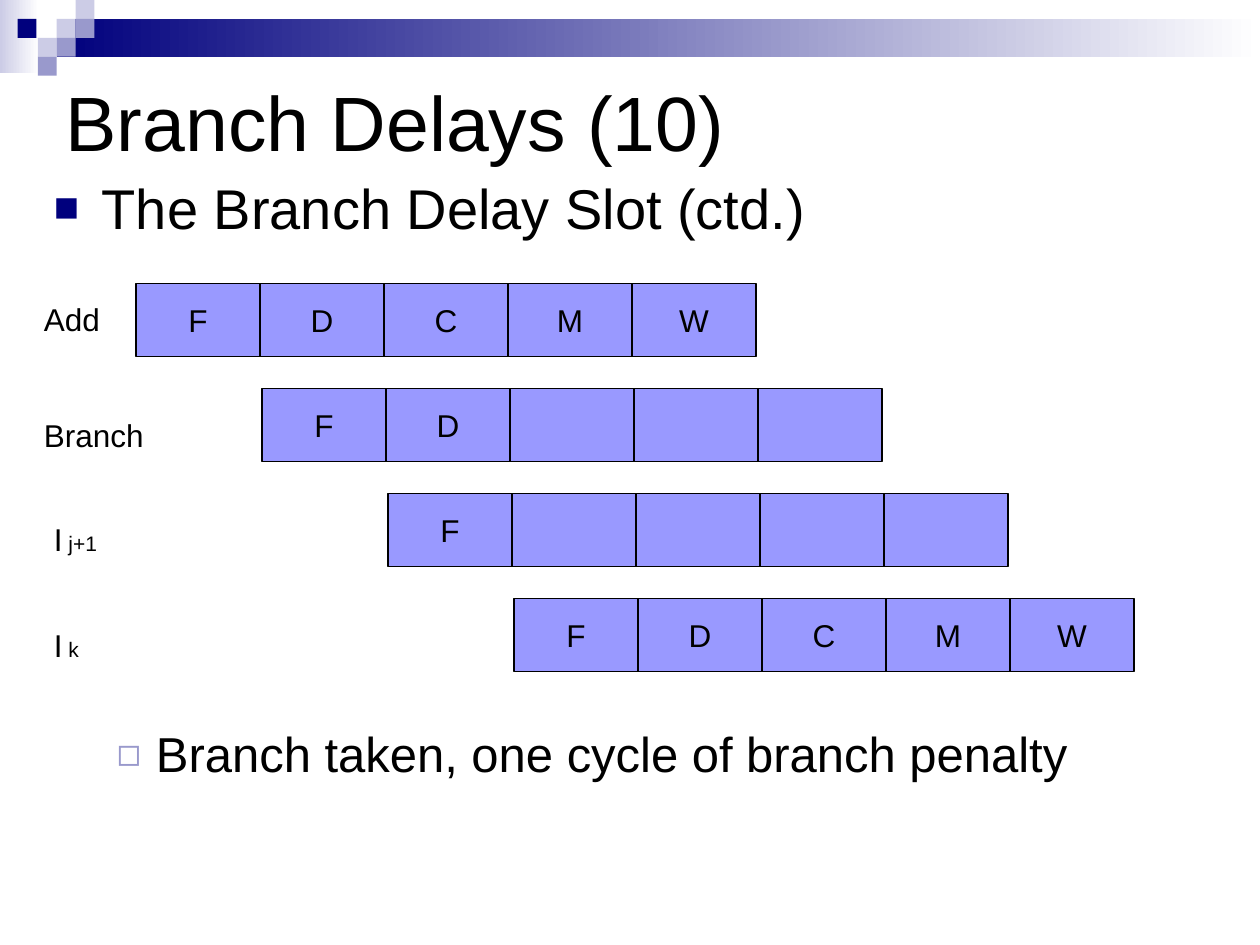
from lxml import etree
from pptx import Presentation
from pptx.dml.color import RGBColor
from pptx.enum import shapes, text
from pptx.oxml.ns import qn
from pptx.util import Inches, Pt

COLORS = {"navy": "00007D", "lilac": "CCCCE6", "violet": "9999CC",
          "stage": "9999FF", "black": "000000", "white": "FFFFFF"}
FONT = "Arial"

TITLE = "Branch Delays (10)"
# text, level, size, left margin, hanging indent, space before, bullet, colour, bullet %
BODY = [
    ("The Branch Delay Slot (ctd.)", 0, 32, 0.38, 0.38, 0, "■", "navy", 75),
    ("Branch taken, one cycle of branch penalty", 1, 28, 0.81, 0.31, 276, "◻", "violet", 80),
]
PIPELINES = ["FDCMW", "FD", "F", "FDCMW"]
# name, subscript, left, top, width
LABELS = [
    ("Add", "", 0.25, 2.33, 0.75),
    ("Branch", "", 0.25, 3.25, 1.17),
    ("I", " j+1", 0.33, 4.08, 0.75),
    ("I", " k", 0.33, 4.92, 0.75),
]
GRADIENT_BARS = [((0, 0, 0.31, 0.58), "lilac"), ((0.45, 0.15, 9.55, 0.3), "navy")]
TILE = 0.15
TILES = [(3, 1, "lilac"), (4, 0, "lilac"), (4, 1, "violet"), (2, 2, "lilac"),
         (0.93, 1, "navy"), (3, 2, "violet"), (2, 3, "violet")]

STAGES = 5
STAGE_WIDTH, STAGE_HEIGHT = 0.984, 0.58
FIRST_LEFT, FIRST_TOP = 1.08, 2.25
ROW_SHIFT, ROW_STEP = 1.0, 0.833


def color(name):
    return RGBColor.from_string(COLORS[name])


def style(run, size):
    run.font.name = FONT
    run.font.size = Pt(size)
    run.font.color.rgb = color("black")


def place(shape, left, top, width, height):
    shape.left, shape.top = Inches(left), Inches(top)
    shape.width, shape.height = Inches(width), Inches(height)


def add_rectangle(parent, left, top, width, height):
    shape = parent.add_shape(shapes.MSO_SHAPE.RECTANGLE, Inches(left), Inches(top),
                             Inches(width), Inches(height))
    shape.shadow.inherit = False
    shape.line.fill.background()
    return shape


def fill_solid(shape, name):
    shape.fill.solid()
    shape.fill.fore_color.rgb = color(name)


def add_text_box(slide, left, top, width, height):
    frame = slide.shapes.add_textbox(Inches(left), Inches(top), Inches(width),
                                     Inches(height)).text_frame
    frame.word_wrap = True
    return frame


def set_bullet(paragraph, left, hanging, character, name, percent):
    properties = paragraph._p.get_or_add_pPr()
    properties.set("marL", str(Inches(left)))
    properties.set("indent", str(-Inches(hanging)))
    bullet_color = etree.SubElement(properties, qn("a:buClr"))
    etree.SubElement(bullet_color, qn("a:srgbClr"), val=COLORS[name])
    etree.SubElement(properties, qn("a:buSzPct"), val=str(percent * 1000))
    etree.SubElement(properties, qn("a:buFont"), typeface=FONT)
    etree.SubElement(properties, qn("a:buChar"), char=character)


def add_decoration(slide):
    for box, start in GRADIENT_BARS:
        bar = add_rectangle(slide.shapes, *box)
        bar.fill.gradient()
        bar.fill.gradient_angle = 0
        for stop, name in zip(bar.fill.gradient_stops, (start, "white")):
            stop.color.rgb = color(name)
    for column, row, name in TILES:
        fill_solid(add_rectangle(slide.shapes, column * TILE, row * TILE, TILE, TILE), name)


def add_title(slide):
    title = slide.shapes.title
    place(title, 0.42, 0.5, 9.33, 0.92)
    title.text_frame.text = TITLE
    title.text_frame.vertical_anchor = text.MSO_ANCHOR.MIDDLE
    paragraph = title.text_frame.paragraphs[0]
    paragraph.alignment = text.PP_ALIGN.LEFT
    style(paragraph.runs[0], 44)


def add_body(slide):
    frame = add_text_box(slide, 0.33, 1.33, 9.33, 5.5)
    for index, (words, level, size, left, hanging, before, *bullet) in enumerate(BODY):
        paragraph = frame.add_paragraph() if index else frame.paragraphs[0]
        paragraph.text = words
        paragraph.level = level
        if before:
            paragraph.space_before = Pt(before)
        set_bullet(paragraph, left, hanging, *bullet)
        style(paragraph.runs[0], size)


def add_pipeline(slide, row, letters):
    group = slide.shapes.add_group_shape()
    for column, letter in enumerate(letters.ljust(STAGES)):
        stage = add_rectangle(group.shapes,
                              FIRST_LEFT + row * ROW_SHIFT + column * STAGE_WIDTH,
                              FIRST_TOP + row * ROW_STEP, STAGE_WIDTH, STAGE_HEIGHT)
        fill_solid(stage, "stage")
        stage.line.color.rgb = color("black")
        stage.line.width = Pt(0.75)
        if letter.strip():
            frame = stage.text_frame
            frame.text = letter
            frame.word_wrap = False
            frame.vertical_anchor = text.MSO_ANCHOR.MIDDLE
            frame.paragraphs[0].alignment = text.PP_ALIGN.CENTER
            style(frame.paragraphs[0].runs[0], 18)


def add_label(slide, name, subscript, left, top, width):
    paragraph = add_text_box(slide, left, top, width, 0.4).paragraphs[0]
    for words, size in ((name, 18), (subscript, 12)):
        if words:
            run = paragraph.add_run()
            run.text = words
            style(run, size)


def main():
    presentation = Presentation()
    presentation.slide_width, presentation.slide_height = Inches(10), Inches(7.5)
    slide = presentation.slides.add_slide(presentation.slide_layouts[5])
    add_decoration(slide)
    add_title(slide)
    add_body(slide)
    for row, letters in enumerate(PIPELINES):
        add_pipeline(slide, row, letters)
    for label in LABELS:
        add_label(slide, *label)
    presentation.save("out.pptx")


if __name__ == "__main__":
    main()
